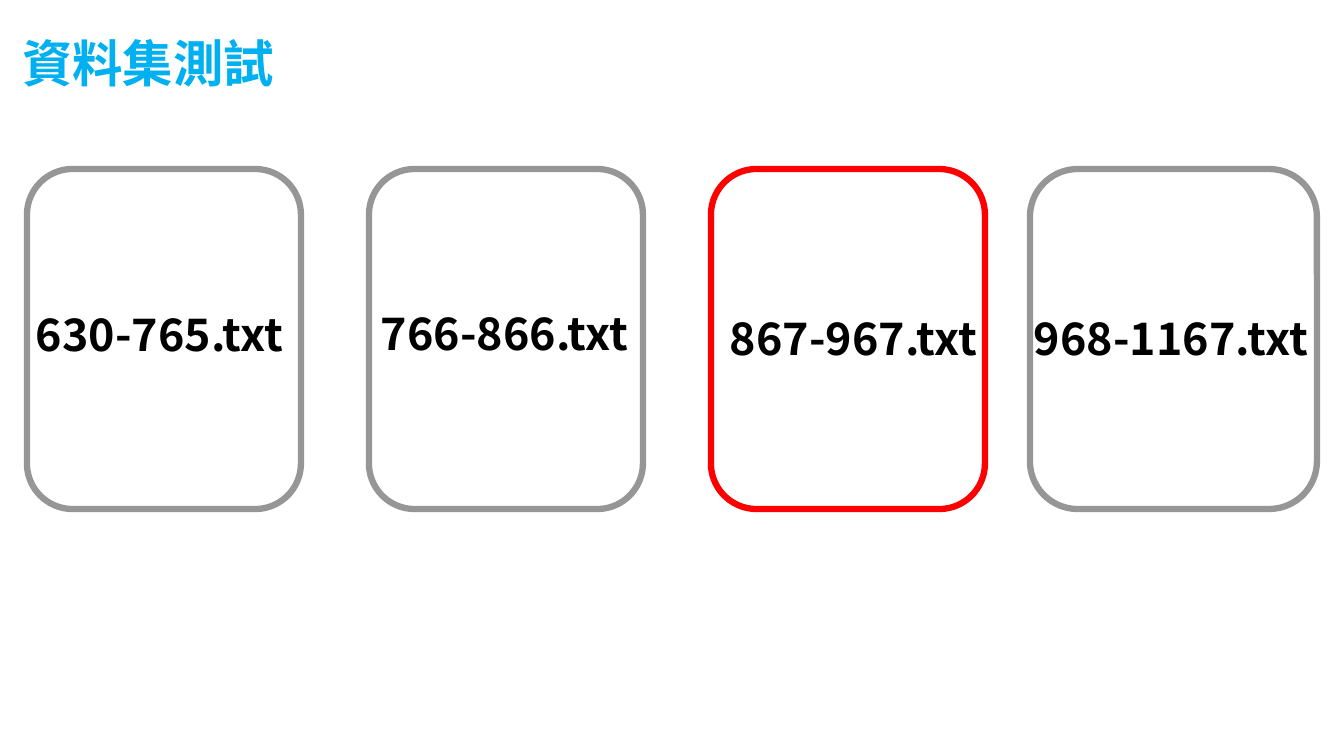
from lxml import etree
from pptx import Presentation
from pptx.dml.color import RGBColor
from pptx.enum.shapes import MSO_SHAPE
from pptx.enum.text import MSO_ANCHOR, MSO_AUTO_SIZE, PP_ALIGN
from pptx.oxml.ns import qn
from pptx.util import Pt

ROUND = MSO_SHAPE.ROUNDED_RECTANGLE
TOP = MSO_ANCHOR.TOP
GROW = MSO_AUTO_SIZE.SHAPE_TO_FIT_TEXT
LEFT = PP_ALIGN.LEFT

FONT = "Noto Sans CJK SC"
BLACK, GRAY, RED, BLUE = "000000", "969696", "FF0000", "00B0F0"
SCALE = 914400 / 100.8


def px(n):
    return round(n * SCALE)


def color(code):
    return RGBColor.from_string(code)


def write(shape, text, size=32, fill=BLACK, bold=True):
    frame = shape.text_frame
    frame.word_wrap = False
    frame.auto_size = GROW
    frame.vertical_anchor = TOP
    para = frame.paragraphs[0]
    para.alignment = LEFT
    run = para.add_run()
    run.text = text
    font = run.font
    font.name, font.size, font.bold = FONT, Pt(size), bold
    font.color.rgb = color(fill)
    # East Asian typeface
    etree.SubElement(font._element, qn("a:ea"), typeface=FONT)


def head(slide, text, x, y, w, h):
    title = slide.shapes.title
    title.left, title.top, title.width, title.height = map(px, (x, y, w, h))
    write(title, text, size=36, fill=BLUE)


def card(slide, text, x, y, w, h, edge, shift, label_w):
    # Rounded frame
    box = slide.shapes.add_shape(ROUND, px(x), px(y), px(w), px(h))
    box.shadow.inherit = False
    box.fill.background()
    box.line.color.rgb = color(edge)
    box.line.width = Pt(4.5)

    # File name, placed from the frame's corner
    dx, dy = shift
    label = slide.shapes.add_textbox(px(x + dx), px(y + dy), px(label_w), px(65))
    write(label, text)


def main():
    deck = Presentation()
    deck.slide_width, deck.slide_height = px(1344), px(756)
    slide = deck.slides.add_slide(deck.slide_layouts[5])

    head(slide, "資料集測試", 12, 27, 275, 72)

    # Name, left, width, edge, label shift, label width
    files = [
        ("630-765.txt", 27, 274, GRAY, (-1, 133), 273),
        ("766-866.txt", 369, 274, GRAY, (2, 132), 273),
        ("867-967.txt", 711, 274, RED, (9, 137), 273),
        ("968-1167.txt", 1030, 287, GRAY, (-6, 137), 300),
    ]
    for name, x, w, edge, shift, label_w in files:
        card(slide, name, x, 169, w, 340, edge, shift, label_w)

    deck.save("out.pptx")


if __name__ == "__main__":
    main()
